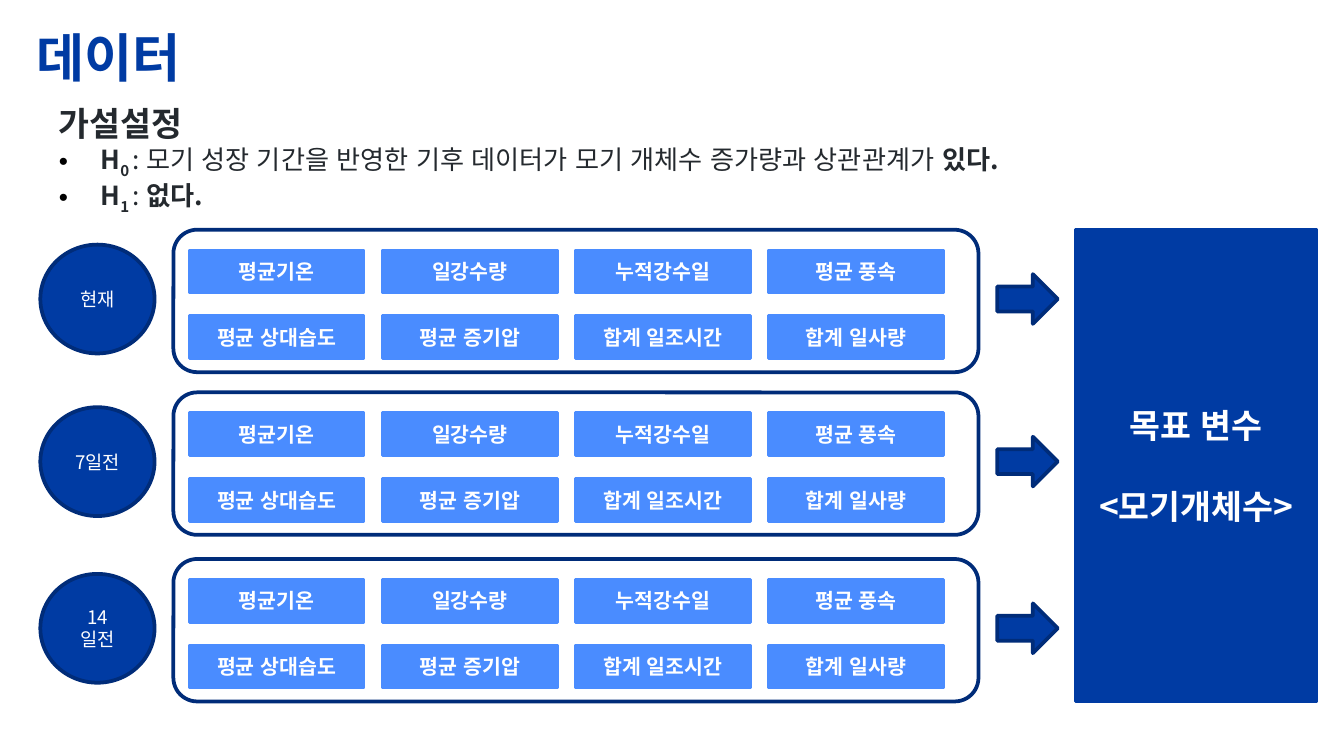
from pptx import Presentation
from pptx.dml.color import RGBColor
from pptx.enum.lang import MSO_LANGUAGE_ID
from pptx.enum.shapes import MSO_SHAPE
from pptx.enum.text import MSO_ANCHOR, PP_ALIGN
from pptx.oxml.ns import qn
from pptx.util import Inches, Pt
from lxml import etree

RECT = MSO_SHAPE.RECTANGLE
ROUND = MSO_SHAPE.ROUNDED_RECTANGLE
OVAL = MSO_SHAPE.OVAL
ARROW = MSO_SHAPE.RIGHT_ARROW
MIDDLE = MSO_ANCHOR.MIDDLE
TOP = MSO_ANCHOR.TOP
CENTER = PP_ALIGN.CENTER
KOREAN = MSO_LANGUAGE_ID.KOREAN

FONT = "Noto Sans CJK KR"
COLORS = {
    "blue": "003BA3",
    "navy": "002C79",
    "sky": "4A8CFF",
    "ink": "24292E",
    "black": "000000",
    "white": "FFFFFF",
}
ROWS = [("현재", 1.71), ("7일전", 2.92), ("14일전", 4.16)]
FACTORS = [
    ["평균기온", "일강수량", "누적강수일", "평균 풍속"],
    ["평균 상대습도", "평균 증기압", "합계 일조시간", "합계 일사량"],
]
CLAIMS = [
    ("0 ", ": 모기 성장 기간을 반영한 기후 데이터가 모기 개체수 증가량과 상관관계가 ", "있다."),
    ("1 ", ": ", "없다."),
]


class Deck:
    """Holds the style and the current slide."""

    def __init__(self):
        self.prs = Presentation()
        self.prs.slide_width = Inches(10)
        self.prs.slide_height = Inches(10) * 9 // 16
        self.slide = self.prs.slides.add_slide(self.prs.slide_layouts[6])

    def color(self, name):
        return RGBColor.from_string(COLORS[name])

    def style(self, para, size, color, bold=None):
        font = para.font
        font.size = Pt(size)
        font.color.rgb = self.color(color)
        font.bold = bold
        font.name = FONT
        font.language_id = KOREAN
        props = para._p.pPr.find(qn("a:defRPr"))
        etree.SubElement(props, qn("a:ea"), typeface=FONT)

    def text(self, box, anchor=TOP, pad=0.05):
        """Add a text box and return its frame."""
        frame = self.slide.shapes.add_textbox(*map(Inches, box)).text_frame
        frame.word_wrap = True
        frame.vertical_anchor = anchor
        frame.margin_top = frame.margin_bottom = Inches(pad)
        return frame

    def shape(self, kind, box, fill, line, width):
        item = self.slide.shapes.add_shape(kind, *map(Inches, box))
        item.shadow.inherit = False
        if fill:
            item.fill.solid()
            item.fill.fore_color.rgb = self.color(fill)
        else:
            item.fill.background()
        item.line.color.rgb = self.color(line)
        item.line.width = Pt(width)
        return item

    def label(self, item, lines, size, bold=False, gap=0):
        """Centre lines of white text in a shape, gap points apart."""
        frame = item.text_frame
        frame.word_wrap = True
        frame.vertical_anchor = MIDDLE
        for i, line in enumerate(lines):
            para = frame.add_paragraph() if i else frame.paragraphs[0]
            para.text = line
            para.alignment = CENTER
            para.space_before = Pt(gap if i else 0)
            self.style(para, size, "white", bold)

    def claim(self, frame, index, body, end):
        """Add a bulleted hypothesis with a subscript index."""
        para = frame.add_paragraph()
        props = para._p.get_or_add_pPr()
        props.set("marL", str(Inches(0.31)))
        props.set("indent", str(-Inches(0.31)))
        tint = etree.SubElement(props, qn("a:buClr"))
        etree.SubElement(tint, qn("a:srgbClr"), val=COLORS["black"])
        etree.SubElement(props, qn("a:buFont"), typeface="Arial")
        etree.SubElement(props, qn("a:buChar"), char="•")
        self.style(para, 14, "ink")
        parts = [("H", True), (index, True), (body, False), (end, True)]
        for words, bold in parts:
            run = para.add_run()
            run.text = words
            run.font.bold = bold
        para.runs[1].font._element.set("baseline", "-25000")

    def period(self, name, top):
        """Draw one row: circle, framed grid of factors and arrow."""
        for r, names in enumerate(FACTORS):
            for c, factor in enumerate(names):
                box = (1.41 + c * 4.31 / 3, top + 0.15 + r * 0.49, 1.3, 0.32)
                chip = self.shape(RECT, box, "sky", "sky", 1.5)
                self.label(chip, [factor], 11, True)
        self.shape(ROUND, (1.29, top, 5.99, 1.06), None, "navy", 2)
        disc = self.shape(OVAL, (0.3, top + 0.11, 0.85, 0.81), "blue", "navy", 2)
        self.label(disc, [name], 10)
        self.shape(ARROW, (7.42, top + 0.33, 0.45, 0.37), "blue", "navy", 2)


def main():
    deck = Deck()
    title = deck.text((0.17, 0.11, 8.44, 0.63), MIDDLE, 0.1).paragraphs[0]
    title.text = "데이터"
    deck.style(title, 28, "blue", True)

    frame = deck.text((0.34, 0.72, 8.75, 0.88))
    head = frame.paragraphs[0]
    head.text = "가설설정"
    deck.style(head, 18, "ink", True)
    for claim in CLAIMS:
        deck.claim(frame, *claim)

    for name, top in ROWS:
        deck.period(name, top)

    target = deck.shape(RECT, (8, 1.71, 1.8, 3.51), "blue", "blue", 1.5)
    deck.label(target, ["목표 변수", "<모기개체수>"], 18, True, 22)
    deck.prs.save("out.pptx")


if __name__ == "__main__":
    main()
